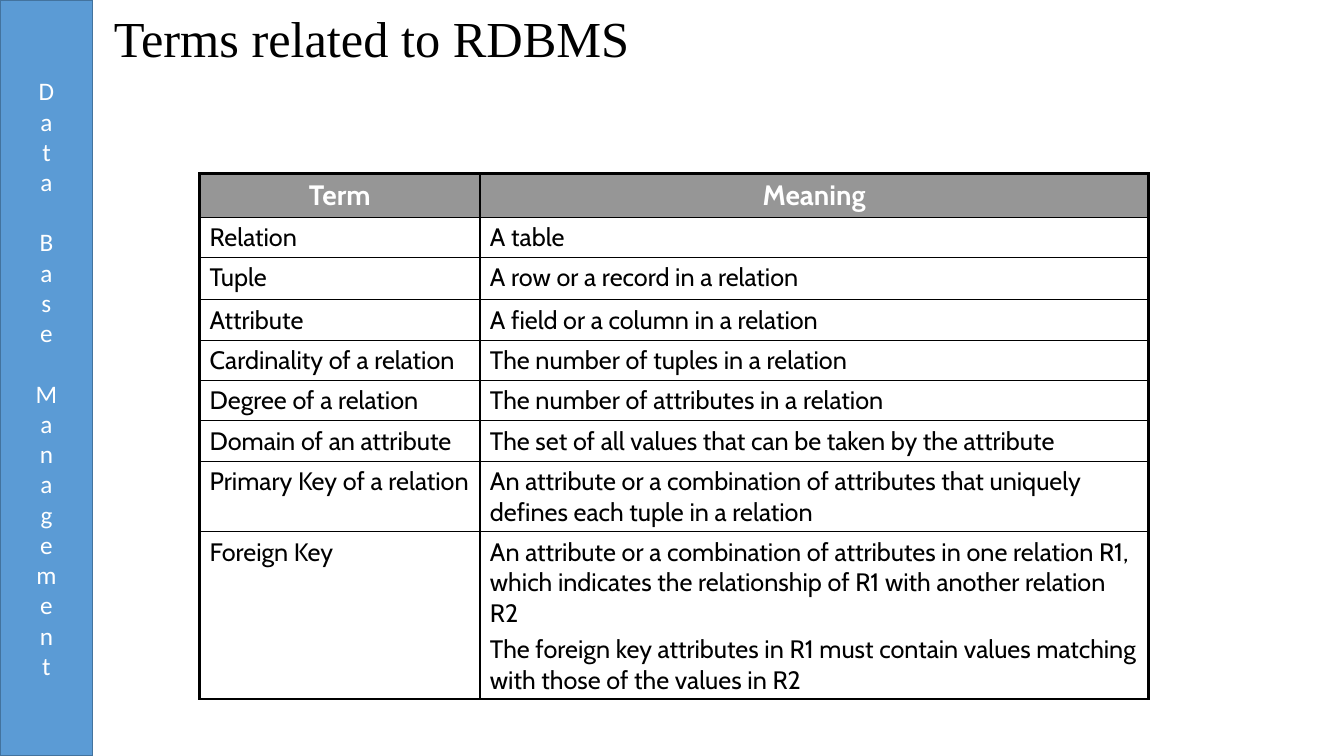
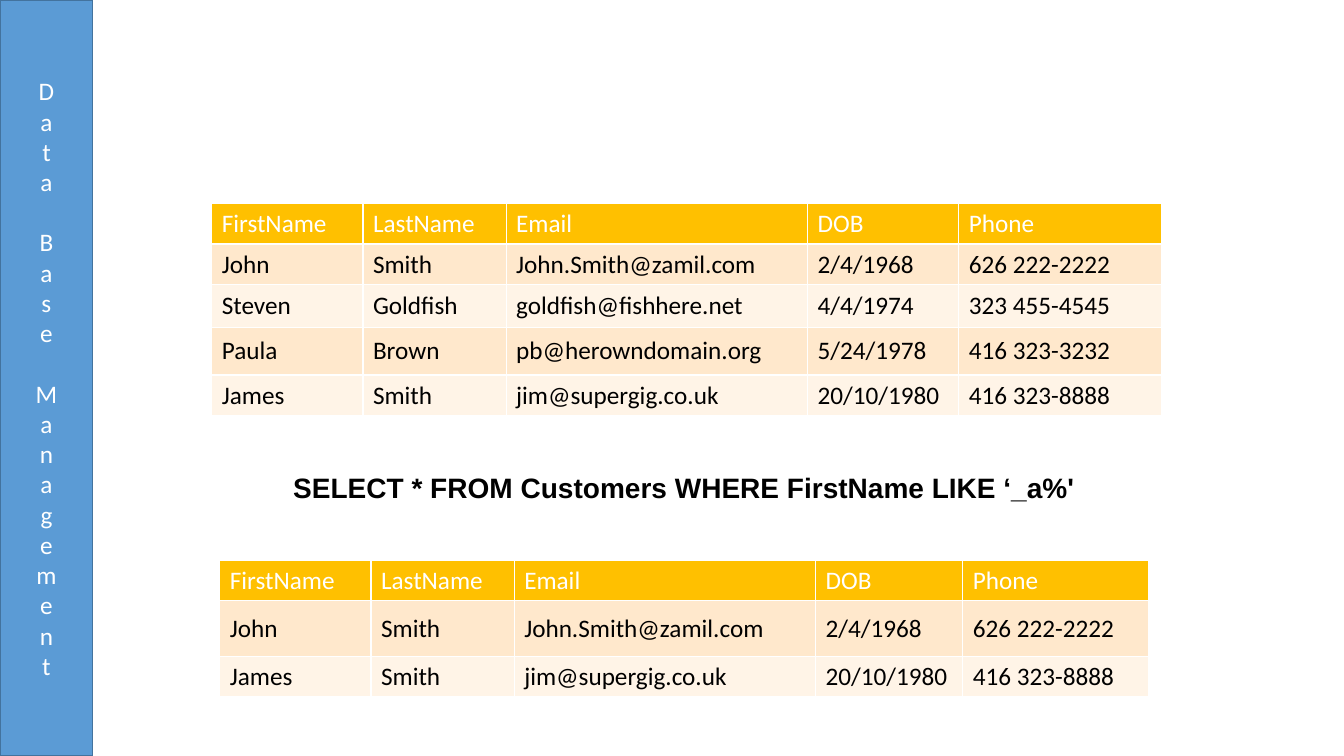
from dataclasses import dataclass

from lxml import etree
from pptx import Presentation
from pptx.dml.color import RGBColor as RGB
from pptx.enum.shapes import MSO_SHAPE as SHAPE
from pptx.enum.text import MSO_ANCHOR as ANCHOR, PP_ALIGN as ALIGN
from pptx.oxml.ns import qn
from pptx.util import Inches, Pt


@dataclass(frozen=True)
class Theme:
    # Colours
    white: str = "FFFFFF"
    black: str = "000000"
    band: str = "5B9BD5"
    band_line: str = "43739E"
    grey: str = "969696"
    gold: str = "FFC000"
    stripes: tuple = ("FFE8CC", "FFF4E7")
    # Type sizes and line widths, in points
    title: int = 36
    head: int = 20
    body: int = 18
    thin: float = 1
    thick: float = 2.25


class Deck:
    def __init__(self, theme):
        self.t = theme
        self.prs = Presentation()
        self.prs.slide_width = Inches(13.33)
        self.prs.slide_height = Inches(7.5)
        self.s = None

    def font(self, name, size, color, bold=False):
        return {"name": name, "size": Pt(size), "bold": bold, "color": color}

    def fill_text(self, tf, text, fmt, **para):
        """Fill a text frame, one paragraph for each line of text."""
        for i, line in enumerate(text.split("\n")):
            p = tf.add_paragraph() if i else tf.paragraphs[0]
            for key, value in para.items():
                setattr(p, key, value)
            r = p.add_run()
            r.text = line
            for key, value in fmt.items():
                if key == "color":
                    r.font.color.rgb = RGB.from_string(value)
                else:
                    setattr(r.font, key, value)

    def slide(self):
        self.s = self.prs.slides.add_slide(self.prs.slide_layouts[6])
        self.band("Data Base Management")

    def band(self, text):
        sp = self.s.shapes.add_shape(SHAPE.RECTANGLE, 0, 0, Inches(0.92),
                                     self.prs.slide_height)
        sp.shadow.inherit = False
        sp.fill.solid()
        sp.fill.fore_color.rgb = RGB.from_string(self.t.band)
        sp.line.color.rgb = RGB.from_string(self.t.band_line)
        sp.line.width = Pt(self.t.thin)
        sp.text_frame.vertical_anchor = ANCHOR.MIDDLE
        # Stacked upright letters
        sp.element.txBody.find(qn("a:bodyPr")).set("vert", "wordArtVert")
        self.fill_text(sp.text_frame, text,
                       self.font("Calibri", self.t.body, self.t.white),
                       alignment=ALIGN.CENTER)

    def text(self, box, text, fmt, anchor=ANCHOR.TOP, **para):
        sp = self.s.shapes.add_textbox(*map(Inches, box))
        tf = sp.text_frame
        tf.word_wrap = True
        tf.vertical_anchor = anchor
        self.fill_text(tf, text, fmt, **para)

    def title(self, text):
        self.text((1.03, 0.12, 12.11, 0.58), text,
                  self.font("Times New Roman", self.t.title, self.t.black),
                  ANCHOR.MIDDLE, line_spacing=0.9)

    def table(self, left, top, cols, heights, rows, style):
        """Draw a table; style(row) gives fill, font, anchor, paragraph."""
        frame = self.s.shapes.add_table(
            len(rows), len(cols), Inches(left), Inches(top),
            Inches(sum(cols)), Inches(sum(heights)))
        tbl = frame.table
        tbl.first_row = tbl.horz_banding = False
        for col, width in zip(tbl.columns, cols):
            col.width = Inches(width)
        for row, height in zip(tbl.rows, heights):
            row.height = Inches(height)
        for i, row in enumerate(rows):
            fill, fmt, anchor, para = style(i)
            for j, text in enumerate(row):
                cell = tbl.cell(i, j)
                cell.vertical_anchor = anchor
                if fill:
                    cell.fill.solid()
                    cell.fill.fore_color.rgb = RGB.from_string(fill)
                else:
                    cell.fill.background()
                self.fill_text(cell.text_frame, text, fmt, **para)
        return tbl

    def borders(self, tbl, color, outer):
        """Thin inner lines, with outer lines of the given width."""
        last_row, last_col = len(tbl.rows) - 1, len(tbl.columns) - 1
        for i in range(last_row + 1):
            for j in range(last_col + 1):
                edges = {"lnL": j == 0, "lnR": j == last_col,
                         "lnT": i == 0, "lnB": i == last_row}
                tc_pr = tbl.cell(i, j)._tc.get_or_add_tcPr()
                for n, (tag, is_outer) in enumerate(edges.items()):
                    width = Pt(outer if is_outer else self.t.thin)
                    ln = etree.Element(qn("a:" + tag), w=str(int(width)))
                    fill = etree.SubElement(ln, qn("a:solidFill"))
                    etree.SubElement(fill, qn("a:srgbClr"), val=color)
                    tc_pr.insert(n, ln)

    def terms(self, left, top, cols, heights, rows):
        t = self.t

        def style(i):
            size = t.body if i else t.head
            fmt = self.font("Cabin", size, t.black if i else t.white, not i)
            para = {"space_before": Pt(0.2 * size),
                    "alignment": ALIGN.LEFT if i else ALIGN.CENTER}
            return None if i else t.grey, fmt, ANCHOR.TOP, para

        tbl = self.table(left, top, cols, heights, rows, style)
        self.borders(tbl, t.black, t.thick)

    def records(self, left, top, cols, heights, rows):
        t = self.t

        def style(i):
            fill = t.stripes[(i - 1) % 2] if i else t.gold
            fmt = self.font("Calibri", t.body, t.black if i else t.white)
            return fill, fmt, ANCHOR.MIDDLE, {}

        tbl = self.table(left, top, cols, heights, rows, style)
        self.borders(tbl, t.white, t.thin)


TERMS = [
    ("Term", "Meaning"),
    ("Relation", "A table"),
    ("Tuple", "A row or a record in a relation"),
    ("Attribute", "A field or a column in a relation"),
    ("Cardinality of a relation", "The number of tuples in a relation"),
    ("Degree of a relation", "The number of attributes in a relation"),
    ("Domain of an attribute",
     "The set of all values that can be taken by the attribute"),
    ("Primary Key of a relation",
     "An attribute or a combination of attributes that uniquely "
     "defines each tuple in a relation"),
    ("Foreign Key",
     "An attribute or a combination of attributes in one relation R1, "
     "which indicates the relationship of R1 with another relation R2\n"
     "The foreign key attributes in R1 must contain values matching "
     "with those of the values in R2"),
]

CUSTOMERS = [
    ("FirstName", "LastName", "Email", "DOB", "Phone"),
    ("John", "Smith", "John.Smith@zamil.com", "2/4/1968", "626 222-2222"),
    ("Steven", "Goldfish", "goldfish@fishhere.net", "4/4/1974",
     "323 455-4545"),
    ("Paula", "Brown", "pb@herowndomain.org", "5/24/1978", "416 323-3232"),
    ("James", "Smith", "jim@supergig.co.uk", "20/10/1980", "416 323-8888"),
]


def main():
    theme = Theme()
    deck = Deck(theme)

    # Slide 1: glossary
    deck.slide()
    deck.title("Terms related to RDBMS")
    deck.terms(1.98, 1.72, (2.78, 6.63),
               (0.43, 0.4, 0.42, 0.4, 0.4, 0.4, 0.4, 0.7, 1.66), TERMS)

    # Slide 2: customers, query and result
    deck.slide()
    deck.records(2.1, 2.02, (1.5, 1.42, 2.99, 1.5, 2.01),
                 (0.4, 0.4, 0.43, 0.47, 0.4), CUSTOMERS)
    deck.text((2.81, 4.62, 8.43, 0.44),
              "SELECT * FROM Customers WHERE FirstName LIKE ‘_a%'",
              deck.font("Arial", theme.head, theme.black, True))
    result = [CUSTOMERS[i] for i in (0, 1, 4)]
    deck.records(2.18, 5.56, (1.5, 1.42, 2.99, 1.46, 1.84),
                 (0.4, 0.55, 0.4), result)

    deck.prs.save("out.pptx")


if __name__ == "__main__":
    main()
